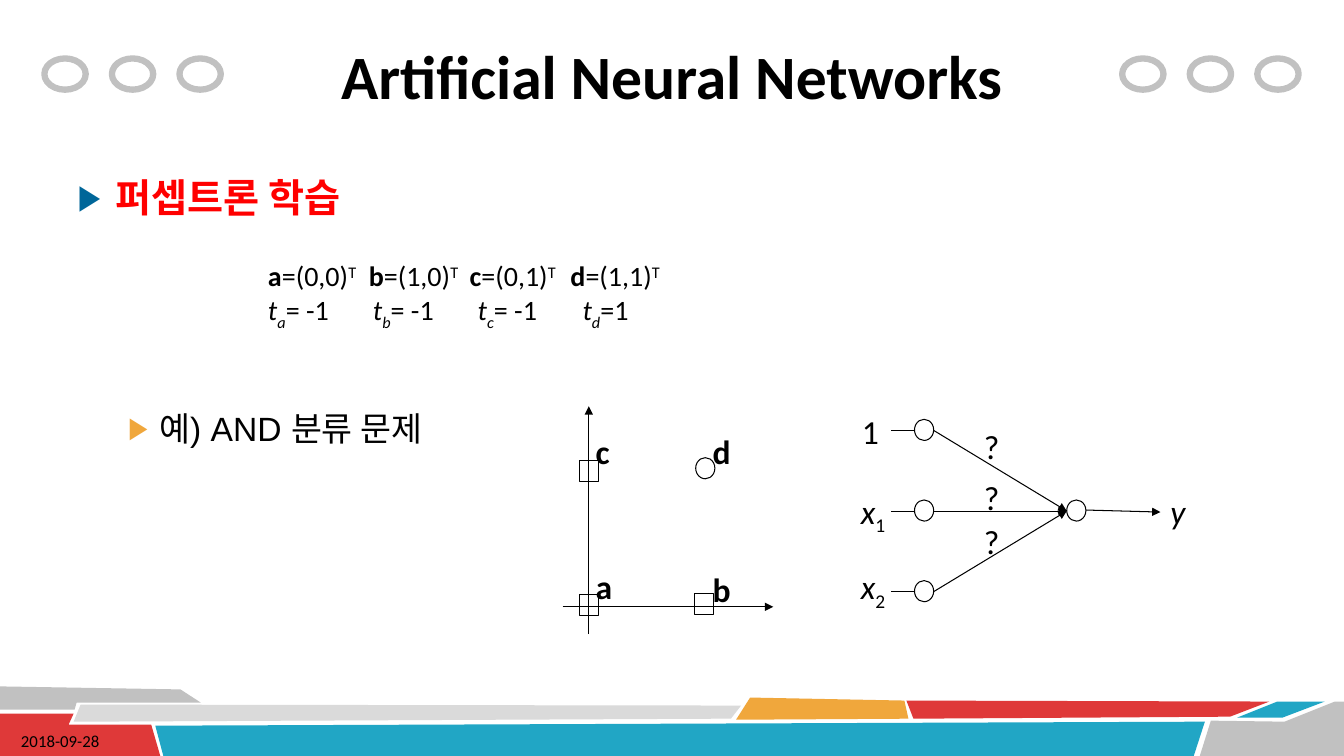
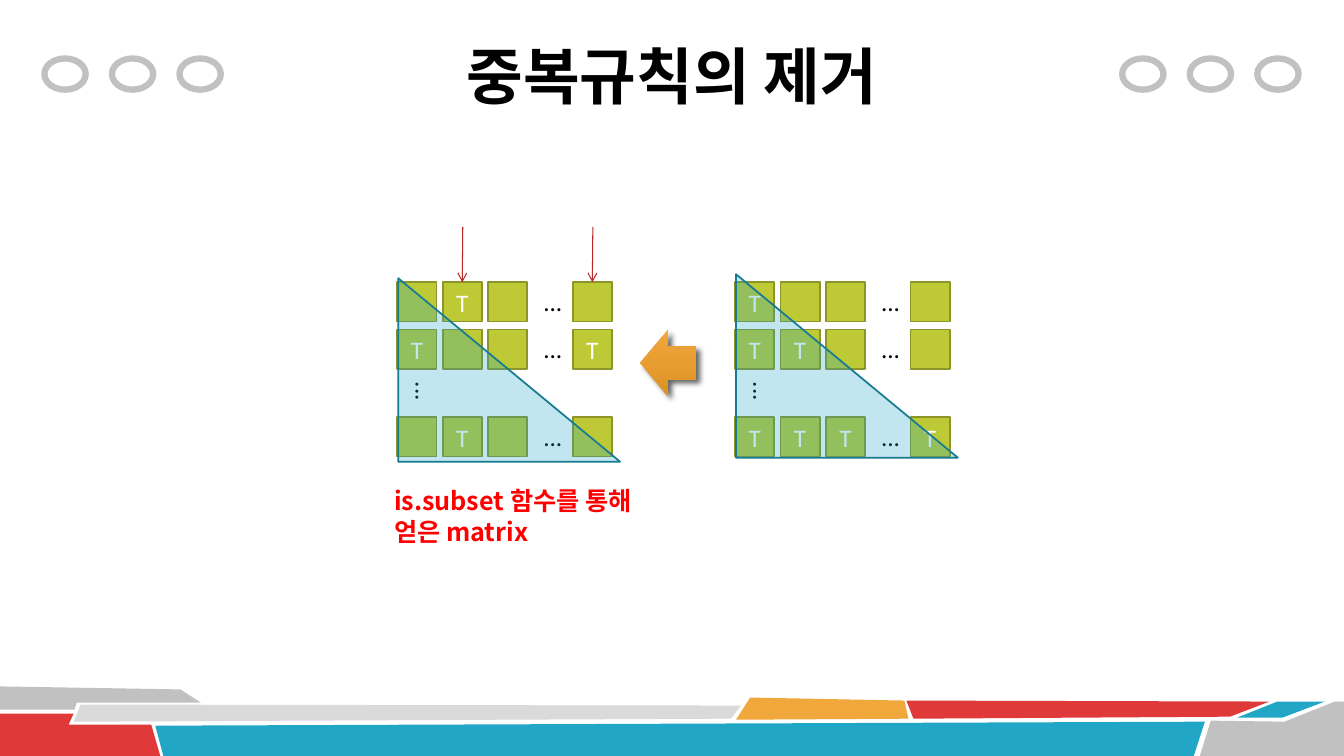
from lxml.etree import SubElement
from pptx import Presentation
from pptx.dml.color import RGBColor
from pptx.enum.shapes import MSO_CONNECTOR, MSO_SHAPE
from pptx.enum.text import MSO_ANCHOR, MSO_AUTO_SIZE, PP_ALIGN
from pptx.oxml.ns import qn
from pptx.util import Inches, Pt

BLACK, WHITE, RED = "000000", "FFFFFF", "FF0000"
GRAY, LIGHT_GRAY, CRIMSON = "C1C1C1", "DADADA", "DF3939"
TEAL, DARK_TEAL, AMBER, DARK_AMBER = "21A6C5", "187B92", "F0A73C", "DD9224"
OLIVE, DARK_OLIVE, ARROW_RED, BULLET_BLUE = "BEC936", "8D9528", "B92727", "006699"

BANDS = [
    (GRAY, [(0, 6.81), (1.79, 6.84), (1.99, 6.97), (0.76, 6.97), (0.74, 7.04), (0, 7.04)]),
    (CRIMSON, [(0, 7.08), (0.73, 7.08), (0.68, 7.19), (1.5, 7.19), (1.59, 7.5), (0, 7.5)]),
    (LIGHT_GRAY, [(0.8, 6.99), (7.35, 7), (7.25, 7.13), (0.73, 7.16)]),
    (TEAL, [(1.54, 7.2), (11.95, 7.16), (11.84, 7.5), (1.62, 7.5)]),
    (AMBER, [(7.44, 6.92), (8.97, 6.95), (9.01, 7.13), (7.3, 7.14)]),
    (CRIMSON, [(8.99, 6.95), (12.59, 6.96), (12.2, 7.11), (9.06, 7.13)]),
    (TEAL, [(12.67, 6.96), (13.14, 6.96), (12.72, 7.12), (12.27, 7.12)]),
    (GRAY, [(12.01, 7.15), (12.74, 7.16), (13.24, 6.96), (13.33, 6.96), (13.33, 7.5), (11.9, 7.5)]),
]


def colour(value):
    return RGBColor.from_string(value)


def add_element(parent, tag, **attributes):
    element = SubElement(parent, qn(tag))
    for name, value in attributes.items():
        element.set(name, str(value))
    return element


def style_font(font, size, value, name="Calibri", bold=None):
    font.size = Pt(size)
    font.color.rgb = colour(value)
    font.name = name
    font.bold = bold


def style_shape(shape, fill=None, line=None, width=0.75):
    if fill:
        shape.fill.solid()
        shape.fill.fore_color.rgb = colour(fill)
    else:
        shape.fill.background()
    if line:
        shape.line.color.rgb = colour(line)
        shape.line.width = Pt(width)
    else:
        shape.line.fill.background()
    shape.shadow.inherit = False


def place(shape, left, top, width, height):
    shape.left, shape.top = Inches(left), Inches(top)
    shape.width, shape.height = Inches(width), Inches(height)


def add_shape(slide, kind, left, top, width, height, fill=None, line=None, line_width=0.75):
    shape = slide.shapes.add_shape(kind, Inches(left), Inches(top), Inches(width), Inches(height))
    style_shape(shape, fill, line, line_width)
    return shape


def add_line(slide, start, end, value=BLACK, head=None):
    points = [Inches(number) for number in (*start, *end)]
    connector = slide.shapes.add_connector(MSO_CONNECTOR.STRAIGHT, *points)
    connector.line.color.rgb = colour(value)
    connector.line.width = Pt(0.75)
    if head:
        add_element(connector.get_or_add_ln(), "a:tailEnd", type=head)
    add_element(connector.element.spPr, "a:effectLst")
    return connector


def add_text(slide, left, top, width, height, lines, size, value=BLACK, name="Calibri",
             bold=None, wrap=False, tab_pitches=None):
    box = slide.shapes.add_textbox(Inches(left), Inches(top), Inches(width), Inches(height))
    frame = box.text_frame
    frame.word_wrap = wrap
    frame.auto_size = MSO_AUTO_SIZE.SHAPE_TO_FIT_TEXT
    for index, runs in enumerate(lines):
        paragraph = frame.add_paragraph() if index else frame.paragraphs[0]
        if tab_pitches:
            tabs = add_element(paragraph._p.get_or_add_pPr(), "a:tabLst")
            for stop in range(1, 4):
                add_element(tabs, "a:tab", pos=Inches(tab_pitches[index] * stop), algn="l")
        style_font(paragraph.font, size, value, name, bold)
        for text, style, baseline in runs:
            run = paragraph.add_run()
            run.text = text
            if "b" in style:
                run.font.bold = True
            if "i" in style:
                run.font.italic = True
            if baseline:
                run._r.get_or_add_rPr().set("baseline", str(baseline * 1000))
    return box


def add_label(slide, left, top, text, style="", width=0.37, subscript=""):
    runs = [(text, style, 0)]
    if subscript:
        runs.append((subscript, "", -25))
    return add_text(slide, left, top, width, 0.5, [runs], 24)


def add_title(slide, text):
    title = slide.shapes.title
    place(title, 2.33, 0.12, 8.67, 1.25)
    title.text_frame.text = text
    title.text_frame.vertical_anchor = MSO_ANCHOR.MIDDLE
    paragraph = title.text_frame.paragraphs[0]
    paragraph.alignment = PP_ALIGN.CENTER
    style_font(paragraph.font, 44, BLACK, bold=True)


def add_bullet(paragraph, text, margin, hanging, bullet_colour, size, value, bold, space_before=0):
    paragraph.text = text
    paragraph.space_before = Pt(space_before)
    properties = paragraph._p.get_or_add_pPr()
    properties.set("marL", str(Inches(margin)))
    properties.set("indent", str(-Inches(hanging)))
    add_element(add_element(properties, "a:buClr"), "a:srgbClr", val=bullet_colour)
    add_element(properties, "a:buSzPct", val=90000)
    add_element(properties, "a:buFont", typeface="Arial")
    add_element(properties, "a:buChar", char="▶")
    style_font(paragraph.font, size, value, "Arial", bold)


def decorate_master(master, slide):
    decorations = []
    for fill, points in BANDS:
        corners = [(Inches(x), Inches(y)) for x, y in points]
        builder = slide.shapes.build_freeform(*corners[0])
        builder.add_line_segments(corners[1:], close=True)
        band = builder.convert_to_shape()
        style_shape(band, fill)
        decorations.append(band)
    for start in (0.44, 11.13):
        for index in range(3):
            decorations.append(add_shape(slide, MSO_SHAPE.OVAL, start + 0.67 * index, 0.58,
                                         0.41, 0.31, line=GRAY, line_width=4.5))
    for index, shape in enumerate(decorations):
        shape.element.nvSpPr.cNvPr.set("id", str(100 + index))
        master.shapes.element.insert(2 + index, shape.element)


def draw_plot(slide):
    for name, left, top, label_left, label_top, kind in (
        ("a", 5.75, 5.9, 5.81, 5.57, MSO_SHAPE.RECTANGLE),
        ("b", 6.89, 5.89, 6.97, 5.59, MSO_SHAPE.RECTANGLE),
        ("c", 5.75, 4.57, 5.81, 4.23, MSO_SHAPE.RECTANGLE),
        ("d", 6.9, 4.54, 6.97, 4.23, MSO_SHAPE.OVAL),
    ):
        add_shape(slide, kind, left, top, 0.19, 0.21, line=BLACK)
        add_label(slide, label_left, label_top, name, "b")
    add_line(slide, (5.84, 6.29), (5.84, 4.03), head="triangle")
    add_line(slide, (5.58, 6.02), (7.67, 6.02), head="triangle")


def draw_network(slide):
    add_label(slide, 8.45, 4.03, "1", width=0.32)
    add_label(slide, 8.44, 4.82, "x", "i", 0.46, "1")
    add_label(slide, 8.44, 5.57, "x", "i", 0.46, "2")
    for top in (4.18, 4.68, 5.12):
        add_label(slide, 9.66, top, "?", width=0.32)
    for index in range(3):
        top = 4.16 + 0.8 * index
        middle = top + 0.11
        add_shape(slide, MSO_SHAPE.OVAL, 9.07, top, 0.19, 0.21, line=BLACK)
        add_line(slide, (8.84, middle), (9.07, middle))
        add_line(slide, (9.26, middle), (10.58, 5.07), head="triangle")
    add_shape(slide, MSO_SHAPE.OVAL, 10.58, 4.96, 0.19, 0.21, line=BLACK)
    add_line(slide, (10.77, 5.06), (11.51, 5.08), head="triangle")
    add_label(slide, 11.51, 4.82, "y", "i", 0.35)


def draw_perceptron_slide(slide):
    add_title(slide, "Artificial Neural Networks")
    body = slide.placeholders[1]
    place(body, 0.67, 1.67, 12, 5.03)
    frame = body.text_frame
    add_bullet(frame.paragraphs[0], "퍼셉트론 학습", 0.38, 0.38, BULLET_BLUE, 28, RED, True)
    add_bullet(frame.add_paragraph(), "예) AND 분류 문제", 0.81, 0.31, AMBER, 24, BLACK, False, 134)
    add_text(slide, 0.11, 7.2, 3.11, 0.25, [[("2018-09-28", "", 0)]], 12, wrap=True)
    vectors, targets = [], []
    for name, vector, target in (("a", "(0,0)", " -1"), ("b", "(1,0)", " -1"),
                                 ("c", "(0,1)", " -1"), ("d", "(1,1)", "1")):
        tab = "" if name == "a" else "\t"
        vectors += [(tab + name, "b", 0), ("=" + vector, "", 0), ("T", "", 30)]
        targets += [(tab + "t", "i", 0), (name, "i", -30), ("=" + target, "", 0)]
    add_text(slide, 2.56, 2.52, 4.17, 0.77, [vectors, targets], 20, wrap=True, tab_pitches=(1, 1.04))
    draw_plot(slide)
    draw_network(slide)


def draw_matrix(slide, left, rows, triangle_top):
    cells = []
    for top, marks in zip((2.8, 3.27, 4.14), rows):
        for offset, mark in zip((0, 0.45, 0.9, 1.74), marks):
            cell = add_shape(slide, MSO_SHAPE.RECTANGLE, left + offset, top, 0.39, 0.39,
                             OLIVE, DARK_OLIVE, 1.25)
            if mark == "T":
                paragraph = cell.text_frame.paragraphs[0]
                paragraph.text = mark
                paragraph.alignment = PP_ALIGN.CENTER
                style_font(paragraph.font, 18, WHITE)
            cells.append(cell)
        add_text(slide, left + 1.35, top - 0.01, 0.4, 0.4, [[("...", "", 0)]], 18)
    dots = add_text(slide, left + 0.08, 3.69, 0.4, 0.4, [[("...", "", 0)]], 18)
    dots.rotation = 90
    triangle = add_shape(slide, MSO_SHAPE.RIGHT_TRIANGLE, left + 0.01, triangle_top, 2.2, 1.82,
                         TEAL, DARK_TEAL, 1.25)
    add_element(triangle.element.spPr.find(".//" + qn("a:srgbClr")), "a:alpha", val=27000)
    return cells


def draw_block_arrow(slide):
    arrow = add_shape(slide, MSO_SHAPE.LEFT_ARROW, 6.35, 3.27, 0.55, 0.66)
    arrow.fill.gradient()
    arrow.fill.gradient_angle = 270
    for stop, value in zip(arrow.fill.gradient_stops, (AMBER, DARK_AMBER)):
        stop.color.rgb = colour(value)
    effects = arrow.element.spPr.find(qn("a:effectLst"))
    shadow = add_element(effects, "a:outerShdw", blurRad=Pt(4), dist=Pt(4), dir=45 * 60000)
    add_element(add_element(shadow, "a:srgbClr", val=BLACK), "a:alpha", val=60000)


def draw_rules_slide(slide):
    add_title(slide, "중복규칙의 제거")
    cells = draw_matrix(slide, 3.94, (".T..", "T..T", ".T.."), 2.76)
    draw_matrix(slide, 7.29, ("T...", "TT..", "TTTT"), 2.72)
    draw_block_arrow(slide)
    for cell, x in ((cells[1], 4.59), (cells[3], 5.88)):
        pointer = add_line(slide, (x, 2.25), (x, 2.8), ARROW_RED, "arrow")
        pointer.end_connect(cell, 0)
    add_text(slide, 3.81, 4.77, 2.68, 0.71,
             [[("is.subset 함수를 통해", "", 0)], [("얻은 matrix", "", 0)]],
             18, RED, "Noto Sans CJK KR", True, wrap=True)


def main():
    presentation = Presentation()
    presentation.slide_width, presentation.slide_height = Inches(13.33), Inches(7.5)
    layouts = presentation.slide_layouts
    perceptron_slide = presentation.slides.add_slide(layouts[1])
    rules_slide = presentation.slides.add_slide(layouts[5])
    decorate_master(presentation.slide_master, perceptron_slide)
    draw_perceptron_slide(perceptron_slide)
    draw_rules_slide(rules_slide)
    presentation.save("out.pptx")


if __name__ == "__main__":
    main()
